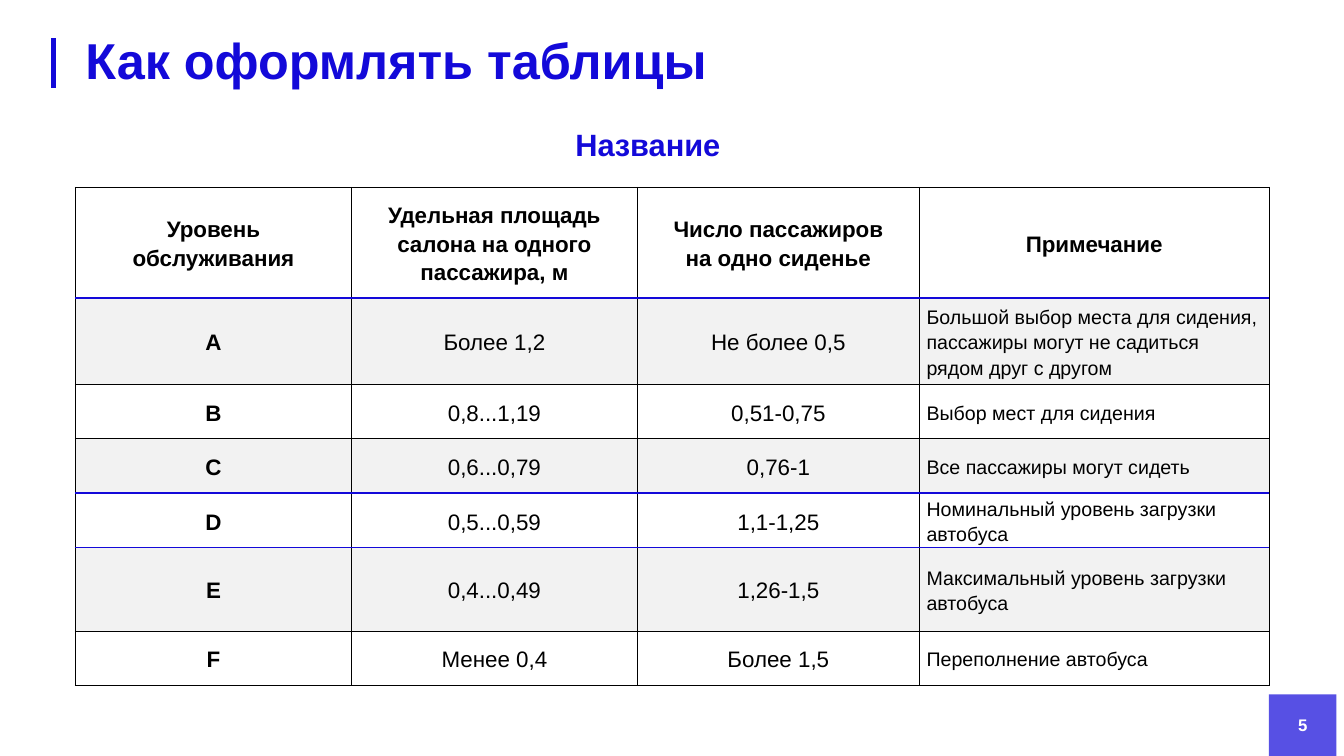
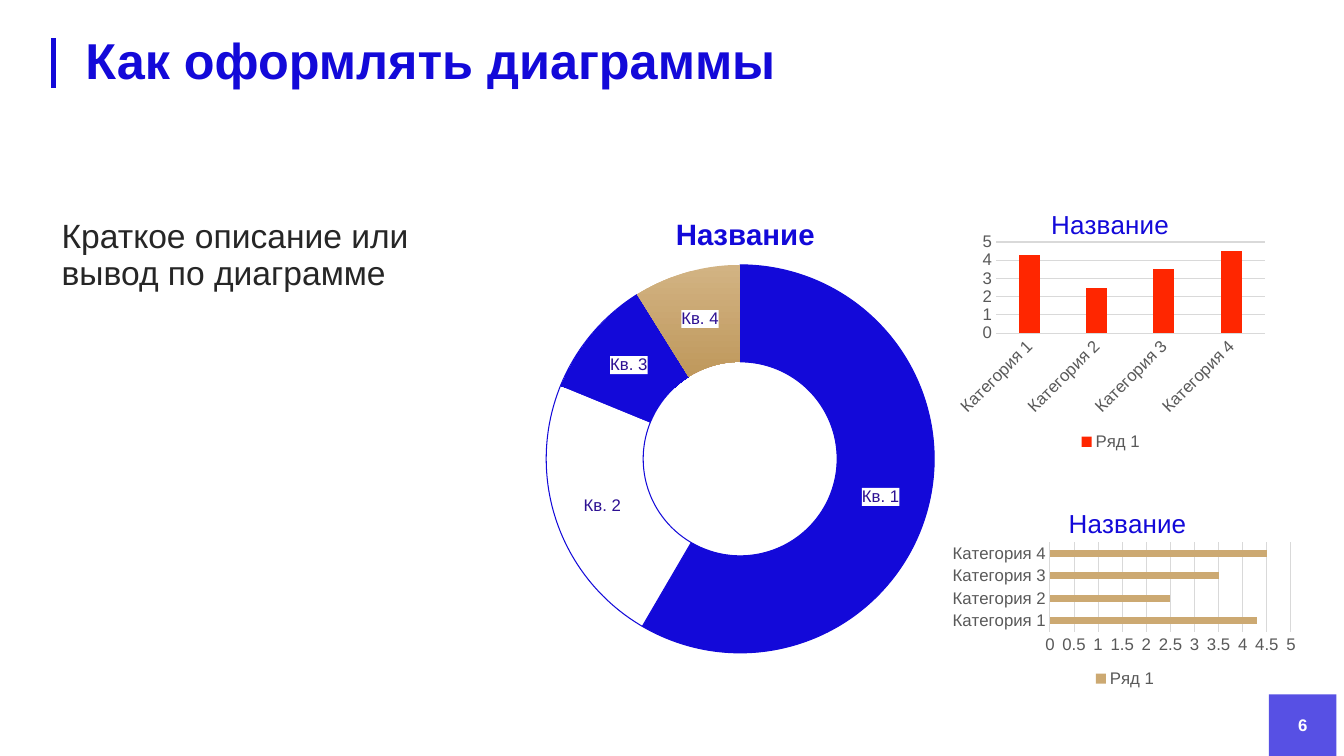
import lxml.etree
import pptx
import pptx.chart.data
import pptx.dml.color
import pptx.enum.chart
import pptx.enum.dml
import pptx.enum.shapes
import pptx.enum.text
import pptx.oxml
import pptx.oxml.ns
import pptx.util

Cm = pptx.util.Cm
Pt = pptx.util.Pt
RGBColor = pptx.dml.color.RGBColor
Align = pptx.enum.text.PP_ALIGN
Anchor = pptx.enum.text.MSO_ANCHOR
AutoSize = pptx.enum.text.MSO_AUTO_SIZE
ChartType = pptx.enum.chart.XL_CHART_TYPE
qn = pptx.oxml.ns.qn

FONT = "Arial"
BLUE = RGBColor(0x13, 0x09, 0xD9)
LIGHT_BLUE = RGBColor(0x57, 0x50, 0xE4)
LABEL_BLUE = RGBColor(0x2D, 0x10, 0x92)
WHITE = RGBColor(0xFF, 0xFF, 0xFF)
BLACK = RGBColor(0, 0, 0)
BODY_GREY = RGBColor(0x26, 0x26, 0x26)
AXIS_GREY = RGBColor(0x59, 0x59, 0x59)
GRID_GREY = RGBColor(0xD9, 0xD9, 0xD9)
BAND_GREY = RGBColor(0xF2, 0xF2, 0xF2)
RED = RGBColor(0xFF, 0x26, 0x00)
GOLD = RGBColor(0xCC, 0xA9, 0x72)
GOLD_LIGHT = RGBColor(0xD2, 0xB3, 0x83)
GOLD_DARK = RGBColor(0xBF, 0x98, 0x5C)

CAPTION = "Название"
TABLE_TITLE = "Как оформлять таблицы"
CHARTS_TITLE = "Как оформлять диаграммы"
DESCRIPTION = "Краткое описание или вывод по диаграмме"

TABLE_ROWS = [
    ("Уровень\nобслуживания", "Удельная площадь\nсалона на одного\nпассажира, м",
     "Число пассажиров\nна одно сиденье", "Примечание"),
    ("А", "Более 1,2", "Не более 0,5",
     "Большой выбор места для сидения, пассажиры могут не садиться рядом друг с другом"),
    ("B", "0,8...1,19", "0,51-0,75", "Выбор мест для сидения"),
    ("С", "0,6...0,79", "0,76-1", "Все пассажиры могут сидеть"),
    ("D", "0,5...0,59", "1,1-1,25", "Номинальный уровень загрузки автобуса"),
    ("E", "0,4...0,49", "1,26-1,5", "Максимальный уровень загрузки автобуса"),
    ("F", "Менее 0,4", "Более 1,5", "Переполнение автобуса"),
]
COLUMN_WIDTHS = [6.96, 7.2, 7.11, 8.81]
ROW_HEIGHTS = [2.79, 2.18, 1.37, 1.37, 1.37, 2.1, 1.37]
THIN_BLACK = (BLACK, 0.75)
ROW_RULES = {1: (BLUE, 2.25), 4: (BLUE, 1.5), 5: (BLUE, 0.75)}

CATEGORIES = [f"Категория {number}" for number in range(1, 5)]
SERIES_NAME, SERIES_VALUES = "Ряд 1", (4.3, 2.5, 3.5, 4.5)
QUARTERS, QUARTER_VALUES = [f"Кв. {number}" for number in range(1, 5)], (59, 23, 10, 9)

DOUGHNUT = {
    "type": ChartType.DOUGHNUT, "box": (13.16, 4.7, 11, 12.12),
    "title_font": {"size": Pt(21), "bold": True}, "title_at": {"x": 0.34, "y": 0.05},
    "plot_at": {"x": 0.055, "y": 0.163, "w": 0.889, "h": 0.807},
}
BAR_CHARTS = [
    {"type": ChartType.COLUMN_CLUSTERED, "box": (23.95, 4.7, 8.08, 6.76),
     "color": RED, "step": 1, "overlap": -27, "label_turn": "-2700000",
     "title_at": {"x": 0.3, "y": 0.06},
     "plot_at": {"x": 0.142, "y": 0.207, "w": 0.839, "h": 0.34}},
    {"type": ChartType.BAR_CLUSTERED, "box": (23.83, 12.17, 9.04, 5.26),
     "color": GOLD, "step": 0.5, "overlap": 0, "label_turn": None,
     "title_at": {"x": 0.33, "y": 0.09},
     "plot_at": {"x": 0.291, "y": 0.284, "w": 0.672, "h": 0.431}},
]
BAR_TITLE_FONT = {"size": Pt(18.6), "bold": False}


def apply(target, values):
    for name, value in values.items():
        setattr(target, name, value)


def set_font(font, size, color, bold=False):
    apply(font, {"name": FONT, "size": Pt(size), "bold": bold})
    font.color.rgb = color


def box_of(*lengths):
    return [Cm(length) for length in lengths]


def place(shape, *lengths):
    apply(shape, dict(zip(("left", "top", "width", "height"), box_of(*lengths))))


def decorate_master(slide):
    """Draw the title bar and the number square, then move them to the master."""
    bar = slide.shapes.add_connector(
        pptx.enum.shapes.MSO_CONNECTOR.STRAIGHT, *box_of(1.35, 0.97, 1.35, 2.23))
    bar.line.color.rgb = BLUE
    bar.line.width = Pt(3)
    lxml.etree.SubElement(bar._element.spPr, qn("a:effectLst"))
    square = slide.shapes.add_shape(
        pptx.enum.shapes.MSO_SHAPE.RECTANGLE, *box_of(31.98, 17.5, 1.7, 1.55))
    square.shadow.inherit = False
    square.fill.solid()
    square.fill.fore_color.rgb = LIGHT_BLUE
    square.line.fill.background()
    first_element = slide.slide_layout.slide_master.shapes[0]._element
    for shape_id, shape in enumerate((bar, square), start=101):
        shape._element.xpath(".//p:cNvPr")[0].set("id", str(shape_id))
        first_element.addprevious(shape._element)


def add_slide(presentation, layout_name, title, number):
    layout = presentation.slide_layouts.get_by_name(layout_name)
    slide = presentation.slides.add_slide(layout)
    place(slide.shapes.title, 1.9, 0.89, 28.27, 1.4)
    frame = slide.shapes.title.text_frame
    frame.text = title
    apply(frame, {"vertical_anchor": Anchor.MIDDLE, "auto_size": AutoSize.NONE})
    apply(frame.paragraphs[0], {"alignment": Align.LEFT, "line_spacing": 0.9})
    set_font(frame.paragraphs[0].font, 36, BLUE, True)

    frame = slide.shapes.add_textbox(*box_of(31.98, 17.75, 1.7, 1.02)).text_frame
    frame.text = str(number)
    apply(frame, {"vertical_anchor": Anchor.MIDDLE, "word_wrap": True})
    frame.paragraphs[0].alignment = Align.CENTER
    set_font(frame.paragraphs[0].font, 12, WHITE, True)
    return slide


def set_border(cell, side, color, width):
    properties = cell._tc.get_or_add_tcPr()
    line = lxml.etree.SubElement(properties, qn(f"a:ln{side}"), w=str(Pt(width)))
    fill = lxml.etree.SubElement(line, qn("a:solidFill"))
    lxml.etree.SubElement(fill, qn("a:srgbClr"), val=str(color))


def fill_cell(cell, text, row, column):
    is_note = row > 0 and column == 3
    cell.text = text
    apply(cell, {"vertical_anchor": Anchor.MIDDLE, "margin_left": Cm(0.18),
                 "margin_right": Cm(0.18), "margin_top": 0, "margin_bottom": 0})
    for paragraph in cell.text_frame.paragraphs:
        apply(paragraph, {"alignment": Align.LEFT if is_note else Align.CENTER,
                          "line_spacing": 1.15})
        set_font(paragraph.font, 14 if is_note else 16, BLACK, row == 0 or column == 0)
    rules = {"L": THIN_BLACK, "R": THIN_BLACK,
             "T": ROW_RULES.get(row, THIN_BLACK), "B": ROW_RULES.get(row + 1, THIN_BLACK)}
    for side, rule in rules.items():
        set_border(cell, side, *rule)
    if row % 2:
        cell.fill.solid()
        cell.fill.fore_color.rgb = BAND_GREY
    else:
        cell.fill.background()


def add_service_table(slide):
    table = slide.shapes.add_table(
        len(TABLE_ROWS), len(COLUMN_WIDTHS),
        *box_of(1.9, 4.72, sum(COLUMN_WIDTHS), sum(ROW_HEIGHTS))).table
    apply(table, {"first_row": False, "horz_banding": False})
    for column, width in zip(table.columns, COLUMN_WIDTHS):
        column.width = Cm(width)
    for row, height in zip(table.rows, ROW_HEIGHTS):
        row.height = Cm(height)
    for row, texts in enumerate(TABLE_ROWS):
        for column, text in enumerate(texts):
            fill_cell(table.cell(row, column), text, row, column)


def add_table_caption(slide):
    frame = slide.shapes.add_textbox(*box_of(14.25, 3.05, 4.22, 1.19)).text_frame
    frame.text = CAPTION
    frame.word_wrap = False
    set_font(frame.paragraphs[0].font, 22, BLUE, True)


def add_description(slide):
    body = slide.placeholders[1]
    place(body, 1.3, 5.41, 11.63, 4.55)
    body.text_frame.text = DESCRIPTION
    body.text_frame.auto_size = AutoSize.NONE
    paragraph = body.text_frame.paragraphs[0]
    apply(paragraph, {"line_spacing": 0.9, "space_before": Pt(0)})
    properties = paragraph._p.get_or_add_pPr()
    apply_attributes = {"marL": "0", "indent": "0"}
    for name, value in apply_attributes.items():
        properties.set(name, value)
    lxml.etree.SubElement(properties, qn("a:buNone"))
    set_font(paragraph.font, 24, BODY_GREY)


def set_layout(parent, index, fractions, inner=False):
    """Fix a chart part at fractions of the chart area."""
    for old_layout in parent.findall(qn("c:layout")):
        parent.remove(old_layout)
    layout = parent.makeelement(qn("c:layout"))
    parent.insert(index, layout)
    manual = lxml.etree.SubElement(layout, qn("c:manualLayout"))
    values = {"layoutTarget": "inner"} if inner else {}
    values.update({"xMode": "edge", "yMode": "edge"}, **fractions)
    for name, value in values.items():
        lxml.etree.SubElement(manual, qn(f"c:{name}"), val=str(value))


def add_chart(slide, settings, categories, series_name, values, title_font):
    data = pptx.chart.data.CategoryChartData()
    data.categories = categories
    data.add_series(series_name, values)
    chart = slide.shapes.add_chart(settings["type"], *box_of(*settings["box"]), data).chart
    set_font(chart.font, 10, BLACK)
    title = chart.chart_title
    title.text_frame.text = CAPTION
    font = title.text_frame.paragraphs[0].font
    apply(font, {"name": FONT, **title_font})
    font.color.rgb = BLUE
    set_layout(title._element, 1, settings["title_at"])
    set_layout(chart._chartSpace.chart.plotArea, 0, settings["plot_at"], inner=True)
    return chart


def add_doughnut(slide):
    chart = add_chart(slide, DOUGHNUT, QUARTERS, "Series 1", QUARTER_VALUES,
                      DOUGHNUT["title_font"])
    chart.has_legend = False
    plot = chart.plots[0]
    points = [plot.series[0].points[index] for index in range(len(QUARTERS))]
    for point, color in zip(points, (BLUE, WHITE)):
        point.format.fill.solid()
        point.format.fill.fore_color.rgb = color
    for point in points[:3]:
        point.format.line.color.rgb = BLUE
        point.format.line.width = Pt(0.75)
    pattern = points[2].format.fill
    pattern.patterned()
    pattern.pattern = pptx.enum.dml.MSO_PATTERN.DARK_HORIZONTAL
    pattern.fore_color.rgb = BLUE
    pattern.back_color.rgb = WHITE
    gradient = points[3].format.fill
    gradient.gradient()
    gradient.gradient_angle = 270
    for stop, color in zip(gradient.gradient_stops, (GOLD_LIGHT, GOLD_DARK)):
        stop.color.rgb = color
    points[3].format.line.fill.background()

    plot.has_data_labels = True
    labels = plot.data_labels
    apply(labels, {"show_category_name": True, "show_value": False, "show_percentage": False})
    set_font(labels.font, 12, LABEL_BLUE)
    background = pptx.oxml.parse_xml(
        f'<c:spPr {pptx.oxml.ns.nsdecls("c", "a")}><a:solidFill>'
        f'<a:srgbClr val="{WHITE}"/></a:solidFill></c:spPr>')
    labels._element.find(qn("c:txPr")).addprevious(background)


def add_bar_chart(slide, settings):
    chart = add_chart(slide, settings, CATEGORIES, SERIES_NAME, SERIES_VALUES, BAR_TITLE_FONT)
    plot = chart.plots[0]
    apply(plot, {"gap_width": 219, "overlap": settings["overlap"], "vary_by_categories": False})
    plot.series[0].format.fill.solid()
    plot.series[0].format.fill.fore_color.rgb = settings["color"]
    for axis in (chart.category_axis, chart.value_axis):
        axis.major_tick_mark = pptx.enum.chart.XL_TICK_MARK.NONE
        set_font(axis.tick_labels.font, 12, AXIS_GREY)
    apply(chart.value_axis, {"minimum_scale": 0, "maximum_scale": 5,
                             "major_unit": settings["step"], "has_major_gridlines": True})
    chart.value_axis.format.line.fill.background()
    for line in (chart.category_axis.format.line, chart.value_axis.major_gridlines.format.line):
        line.color.rgb = GRID_GREY
        line.width = Pt(0.75)
    if settings["label_turn"]:
        text_body = chart.category_axis._element.find(qn("c:txPr")).find(qn("a:bodyPr"))
        text_body.set("rot", settings["label_turn"])
    chart.has_legend = True
    apply(chart.legend, {"position": pptx.enum.chart.XL_LEGEND_POSITION.BOTTOM,
                         "include_in_layout": False})
    set_font(chart.legend.font, 12, AXIS_GREY)


def main():
    presentation = pptx.Presentation()
    apply(presentation, {"slide_width": Cm(33.87), "slide_height": Cm(19.05)})
    table_slide = add_slide(presentation, "Title Only", TABLE_TITLE, 5)
    decorate_master(table_slide)
    add_service_table(table_slide)
    add_table_caption(table_slide)

    charts_slide = add_slide(presentation, "Title and Content", CHARTS_TITLE, 6)
    add_description(charts_slide)
    add_doughnut(charts_slide)
    for settings in BAR_CHARTS:
        add_bar_chart(charts_slide, settings)
    presentation.save("out.pptx")


if __name__ == "__main__":
    main()
